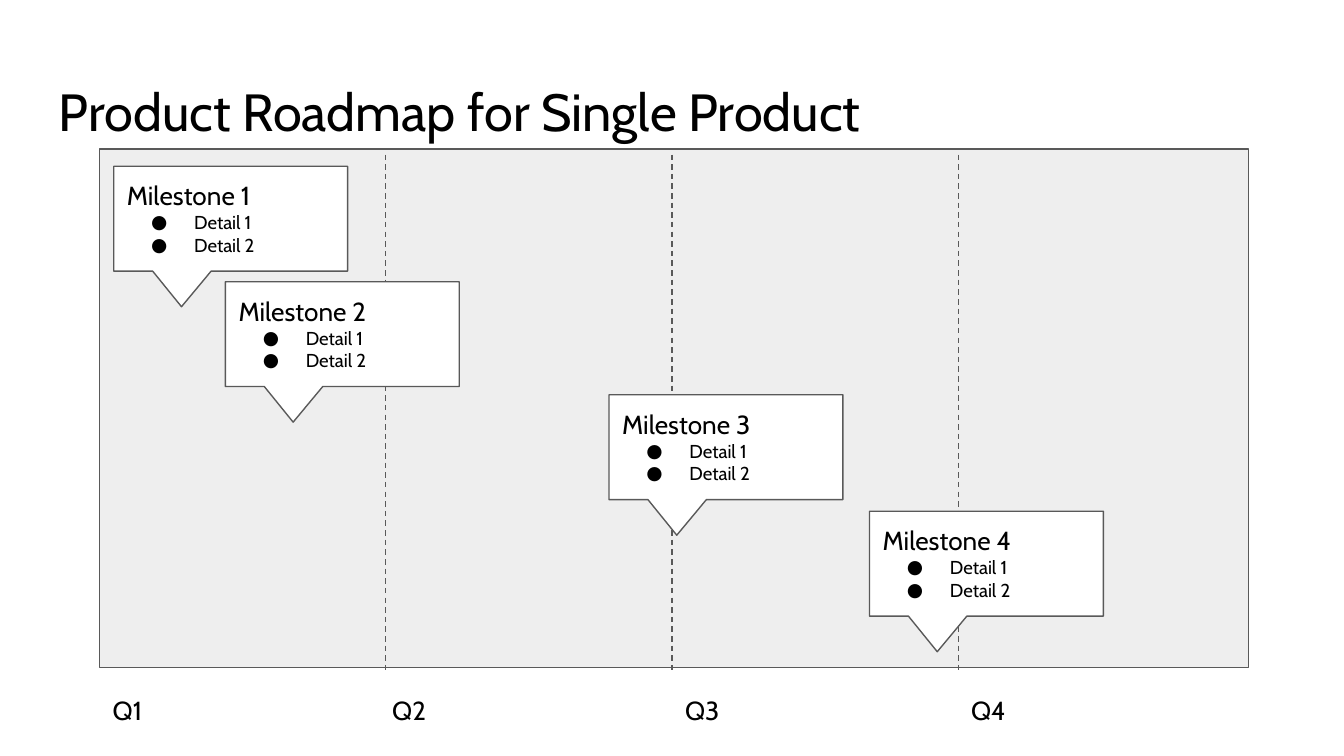
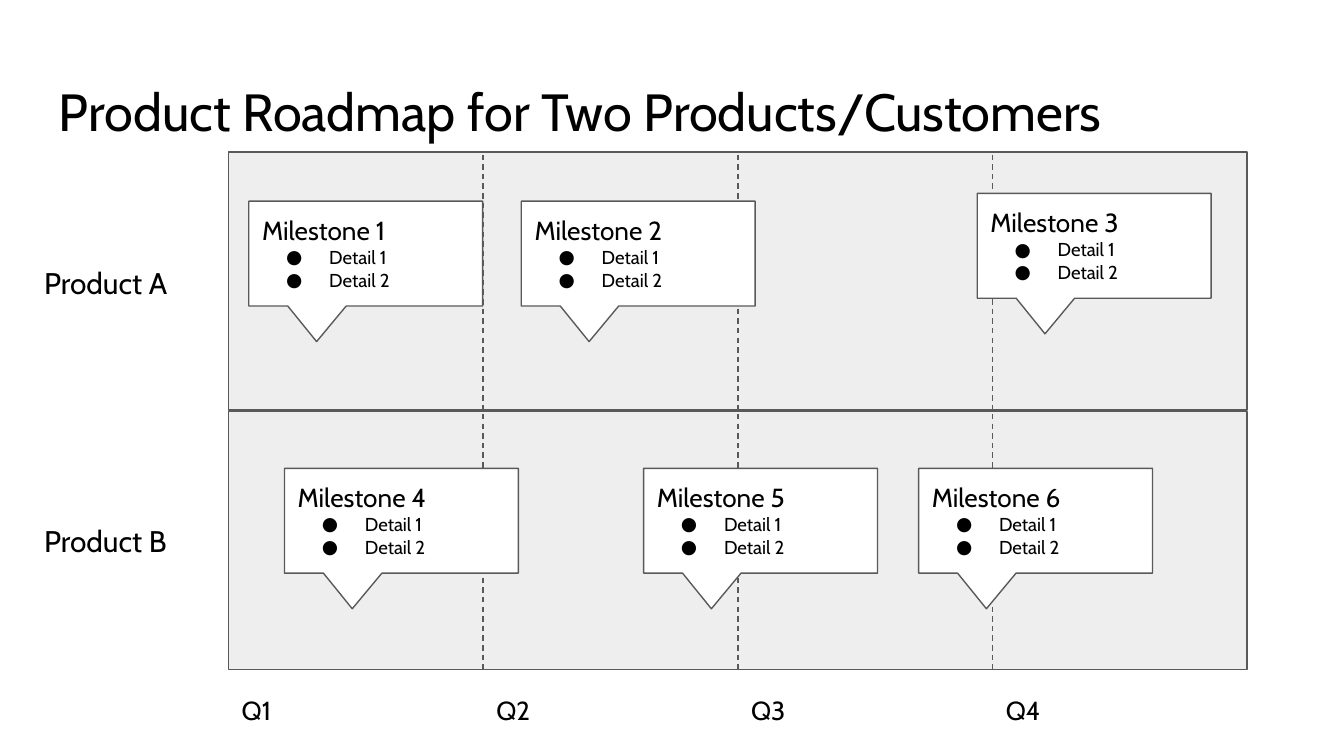
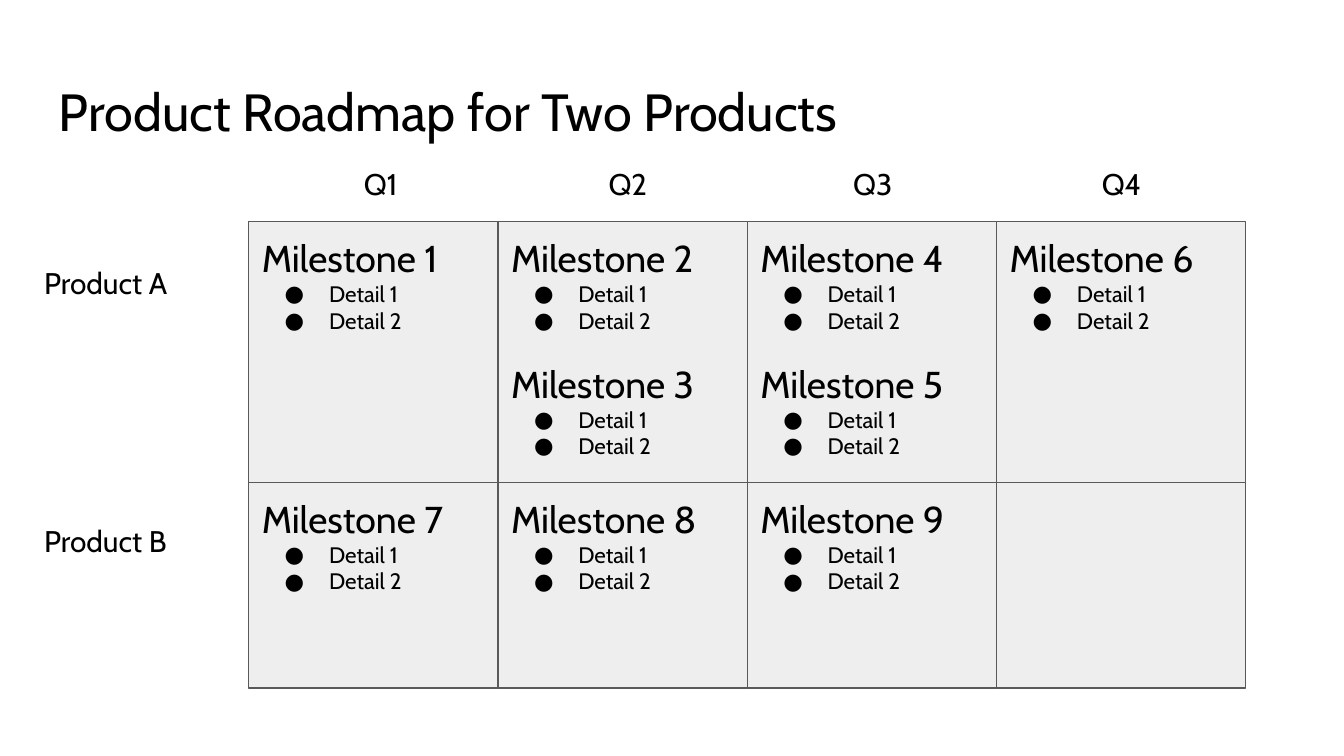
"""Build three product roadmap slides: one product, two products on a timeline, and a quarter grid."""
from dataclasses import dataclass

from lxml import etree
from pptx import Presentation, util as u
from pptx.dml import color
from pptx.enum import dml, shapes, text
from pptx.oxml import ns

COLORS = {"ink": "000000", "panel": "EEEEEE", "card": "FFFFFF", "rule": "595959"}
FONT = "Cabin"
WIDTH = 10
HEIGHT = WIDTH * 9 / 16
QUARTERS = ["Q1", "Q2", "Q3", "Q4"]
DETAILS = ["Detail 1", "Detail 2"]
PAD = u.Inches(0.1)
FRAME = {
    "word_wrap": True,
    "auto_size": text.MSO_AUTO_SIZE.NONE,
    "margin_left": PAD,
    "margin_top": PAD,
    "margin_right": PAD,
    "margin_bottom": PAD,
}
LEFT, CENTER = text.PP_ALIGN.LEFT, text.PP_ALIGN.CENTER
TOP, MIDDLE = text.MSO_ANCHOR.TOP, text.MSO_ANCHOR.MIDDLE
CARD_SIZES = {"heading": 14, "detail": 10, "hang": 0.32}
CELL_SIZES = {"heading": 20, "detail": 12, "hang": 0.33}


@dataclass
class Grid:
    """Timeline grid with a corner and the pitch of its columns and rows."""
    left: float
    top: float
    column: float
    row: float

    def at(self, column, row=0):
        """Return the point at a column and row."""
        return self.left + column * self.column, self.top + row * self.row


def inches(*lengths):
    """Convert lengths to slide units."""
    return [u.Inches(length) for length in lengths]


def apply(target, formats):
    """Set every format value on the target."""
    for key, value in formats.items():
        setattr(target, key, value)


def rgb(name):
    """Look up a palette colour."""
    return color.RGBColor.from_string(COLORS[name])


def outline(line):
    """Give a line the shared rule style."""
    line.color.rgb = rgb("rule")
    line.width = u.Pt(0.75)


def write(paragraph, words, size, align=LEFT):
    """Write one styled run."""
    paragraph.alignment = align
    run = paragraph.add_run()
    run.text = words
    apply(run.font, {"name": FONT, "size": u.Pt(size)})
    run.font.color.rgb = rgb("ink")


def bullet(paragraph, hang):
    """Turn a paragraph into a bullet with a hanging indent."""
    properties = paragraph._p.get_or_add_pPr()
    properties.set("marL", str(u.Inches(0.5)))
    properties.set("indent", str(-u.Inches(hang)))
    for tag, key, value in (("a:buFont", "typeface", FONT), ("a:buChar", "char", "●")):
        etree.SubElement(properties, ns.qn(tag)).set(key, value)


def label(canvas, words, box, size, align=LEFT, anchor=TOP):
    """Add a line of plain text."""
    frame = canvas.add_textbox(*inches(*box)).text_frame
    apply(frame, {**FRAME, "vertical_anchor": anchor})
    write(frame.paragraphs[0], words, size, align)


def block(canvas, box, fill="panel", preset=shapes.MSO_SHAPE.RECTANGLE):
    """Add a filled, outlined shape."""
    panel = canvas.add_shape(preset, *inches(*box))
    panel.shadow.inherit = False
    panel.fill.solid()
    panel.fill.fore_color.rgb = rgb(fill)
    outline(panel.line)
    return panel


def fill_milestones(frame, numbers, sizes):
    """Write milestone headings, each followed by its bulleted details."""
    apply(frame, {**FRAME, "vertical_anchor": TOP})
    for number in numbers:
        first = number == numbers[0]
        heading = frame.paragraphs[0] if first else frame.add_paragraph()
        if not first:
            heading.space_before = u.Pt(14.5)
        write(heading, f"Milestone {number}", sizes["heading"])
        for words in DETAILS:
            detail = frame.add_paragraph()
            write(detail, words, sizes["detail"])
            bullet(detail, sizes["hang"])


def callout(canvas, number, corner):
    """Add a milestone card that points down at the timeline."""
    card = block(canvas, (*corner, 1.74, 0.78), "card", shapes.MSO_SHAPE.RECTANGULAR_CALLOUT)
    card.adjustments[0], card.adjustments[1] = -0.21, 0.84
    fill_milestones(card.text_frame, [number], CARD_SIZES)


def divider(canvas, x, top, bottom):
    """Add a dashed line between quarters."""
    ends = inches(x, top, x, bottom)
    dash = canvas.add_connector(shapes.MSO_CONNECTOR.STRAIGHT, *ends)
    outline(dash.line)
    dash.line.dash_style = dml.MSO_LINE.DASH
    etree.SubElement(dash._element.spPr, ns.qn("a:effectLst"))


def lane(canvas, grid, row, width, height, lead):
    """Add a timeline panel split into quarters."""
    left, top = grid.at(0, row)
    block(canvas, (left, top, width, height))
    for quarter in range(1, len(QUARTERS)):
        divider(canvas, grid.at(quarter)[0], top + lead, top + height + 0.02)


def product_labels(canvas):
    """Name the two product rows."""
    for row, product in enumerate(["Product A", "Product B"]):
        label(canvas, product, (0.23, 1.84 + 1.92 * row, 1.29, 0.52), 16, anchor=MIDDLE)


def new_slide(deck, title):
    """Add a blank slide with a title and return its shapes."""
    canvas = deck.slides.add_slide(deck.slide_layouts[6]).shapes
    label(canvas, title, (0.34, 0.49, 9.32, 0.63), 28)
    return canvas


def single_product(deck):
    """Build the roadmap of one product."""
    canvas = new_slide(deck, "Product Roadmap for Single Product")
    grid = Grid(0.74, 1.11, 2.13, 0.85)
    lane(canvas, grid, 0, 8.55, 3.86, 0.04)
    for index, quarter in enumerate(QUARTERS):
        x = grid.at(index)[0] - (0.05 if index else 0)
        label(canvas, quarter, (x, 5.07, 0.55, 0.31), 14, CENTER if index > 1 else LEFT)
    places = [(0.05, 0.15), (0.44, 1.16), (1.78, 2.15), (2.69, 3.17)]
    for number, place in enumerate(places, 1):
        callout(canvas, number, grid.at(*place))


def two_timelines(deck):
    """Build the roadmap with one lane for each product."""
    canvas = new_slide(deck, "Product Roadmap for Two Products/Customers")
    width = 7.58
    grid = Grid(1.7, 1.13, width / len(QUARTERS), 1.93)
    for row in range(2):
        lane(canvas.add_group_shape().shapes, grid, row, width, 1.92, 0.02)
    for index, quarter in enumerate(QUARTERS):
        label(canvas, quarter, (grid.at(index)[0], 5.07, 0.49, 0.31), 14)
    places = [(0.08, 0.19), (1.15, 0.19), (2.94, 0.16), (0.22, 1.22), (1.63, 1.22), (2.71, 1.22)]
    for number, place in enumerate(places, 1):
        callout(canvas, number, grid.at(*place))
    product_labels(canvas)


def quarter_grid(deck):
    """Build the grid of products by quarter."""
    canvas = new_slide(deck, "Product Roadmap for Two Products")
    grid = Grid(1.85, 1.65, 7.42 / len(QUARTERS), 1.94)
    for quarter, x in zip(QUARTERS, [2.61, 4.43, 6.25, 8.1]):
        label(canvas, quarter, (x, 1.13, 0.65, 0.31), 16)
    plan = [[[1], [2, 3], [4, 5], [6]], [[7], [8], [9], []]]
    for row, (height, cells) in enumerate(zip([1.94, 1.53], plan)):
        for column, numbers in enumerate(cells):
            cell = block(canvas, (*grid.at(column, row), grid.column, height))
            if numbers:
                fill_milestones(cell.text_frame, numbers, CELL_SIZES)
    product_labels(canvas)


def main():
    """Build and save the deck."""
    deck = Presentation()
    deck.slide_width, deck.slide_height = inches(WIDTH, HEIGHT)
    for build in (single_product, two_timelines, quarter_grid):
        build(deck)
    deck.save("out.pptx")


if __name__ == "__main__":
    main()
